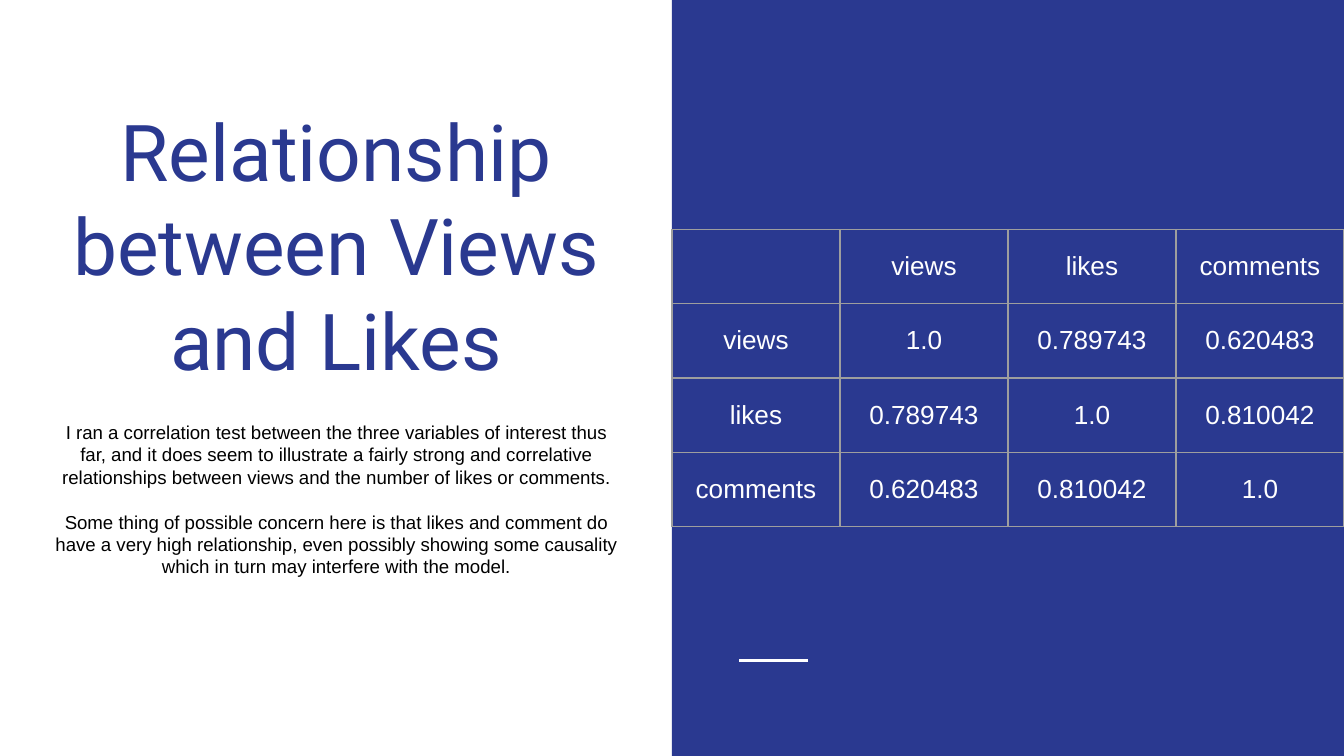
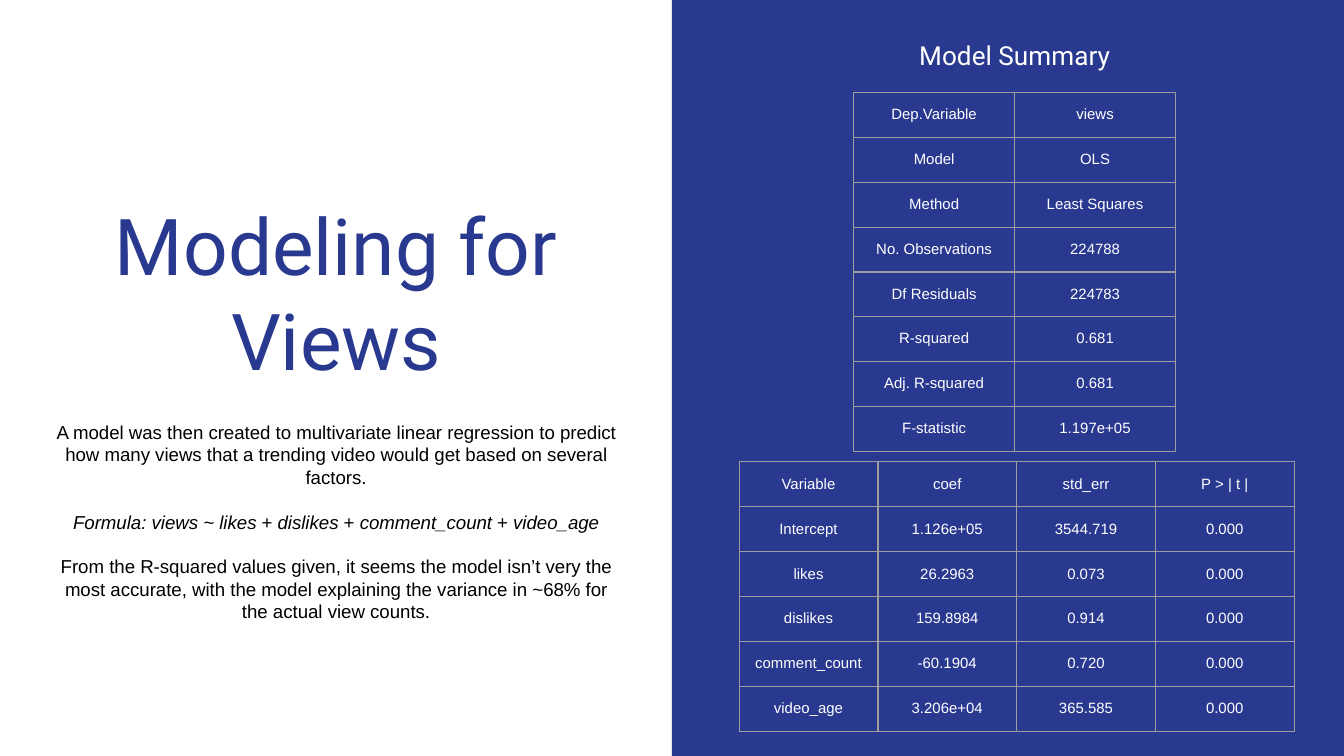
from lxml.etree import SubElement
from pptx import Presentation
from pptx.dml.color import RGBColor
from pptx.enum.shapes import MSO_CONNECTOR, MSO_SHAPE
from pptx.enum.text import MSO_ANCHOR, PP_ALIGN
from pptx.oxml.ns import qn
from pptx.util import Inches, Pt

COLORS = {"blue": "2A3990", "white": "FFFFFF", "black": "000000", "grid": "9E9E9E"}
HEADING_FONT, BODY_FONT = "Roboto", "Arial"
COLUMNS, ROWS = 40, 22.5
MARGIN = Inches(0.1)


def color(name):
    return RGBColor.from_string(COLORS[name])


def write(frame, paragraphs, size, color_name, font=BODY_FONT, anchor=MSO_ANCHOR.TOP, gap=0):
    """Fill a text frame; a tuple paragraph alternates italic and upright pieces."""
    frame.word_wrap = True
    frame.vertical_anchor = anchor
    frame.margin_left = frame.margin_right = MARGIN
    frame.margin_top = frame.margin_bottom = MARGIN
    for index, content in enumerate(paragraphs):
        paragraph = frame.add_paragraph() if index else frame.paragraphs[0]
        paragraph.alignment = PP_ALIGN.CENTER
        paragraph.space_before = Pt(gap if index else 0)
        pieces = content if isinstance(content, tuple) else (content,)
        for position, piece in enumerate(pieces):
            run = paragraph.add_run()
            run.text = piece
            run.font.size = Pt(size)
            run.font.name = font
            run.font.color.rgb = color(color_name)
            run.font.italic = isinstance(content, tuple) and position % 2 == 0


def draw_borders(cell):
    properties = cell._tc.get_or_add_tcPr()
    for side in ("a:lnL", "a:lnR", "a:lnT", "a:lnB"):
        line = SubElement(properties, qn(side), w=str(Pt(0.75)))
        fill = SubElement(line, qn("a:solidFill"))
        SubElement(fill, qn("a:srgbClr"), val=COLORS["grid"])


class SplitDeck:
    """Slides with a white text half and a blue half for tables, on a 40 by 22.5 grid."""

    def __init__(self):
        self.presentation = Presentation()
        self.presentation.slide_width = Inches(10)
        self.presentation.slide_height = Inches(10) * 9 // 16
        self.slide = None

    def x(self, columns):
        return round(self.presentation.slide_width * columns / COLUMNS)

    def y(self, rows):
        return round(self.presentation.slide_height * rows / ROWS)

    def box(self, left, top, width, height):
        return self.x(left), self.y(top), self.x(width), self.y(height)

    def add_slide(self, title, body):
        self.slide = self.presentation.slides.add_slide(self.presentation.slide_layouts[6])
        background = self.slide.background.fill
        background.solid()
        background.fore_color.rgb = color("white")
        self.panel(20, 0, 20, ROWS)
        self.rule(22, 19.66, 2.04)
        self.text([title], 1.16, 5.04, 17.68, 6.84, size=42, color_name="blue",
                  font=HEADING_FONT, anchor=MSO_ANCHOR.BOTTOM)
        self.text(body, 1.16, 12.12, 17.68, 5.56, size=10, color_name="black", gap=12)

    def panel(self, left, top, width, height):
        shape = self.slide.shapes.add_shape(
            MSO_SHAPE.RECTANGLE, *self.box(left, top, width, height))
        shape.shadow.inherit = False
        shape.fill.solid()
        shape.fill.fore_color.rgb = color("blue")
        shape.line.fill.background()

    def rule(self, left, top, width):
        connector = self.slide.shapes.add_connector(
            MSO_CONNECTOR.STRAIGHT, self.x(left), self.y(top), self.x(left + width), self.y(top))
        connector.line.color.rgb = color("white")
        connector.line.width = Pt(1.5)
        SubElement(connector._element.spPr, qn("a:effectLst"))

    def text(self, paragraphs, left, top, width, height, **style):
        shape = self.slide.shapes.add_textbox(*self.box(left, top, width, height))
        write(shape.text_frame, paragraphs, **style)

    def table(self, records, left, top, column, row, size, anchor=MSO_ANCHOR.MIDDLE, filled=False):
        """Draw records as a table whose cells are column wide and row high."""
        row_count, column_count = len(records), len(records[0])
        table = self.slide.shapes.add_table(
            row_count, column_count,
            *self.box(left, top, column * column_count, row * row_count)).table
        table.first_row = table.horz_banding = False
        for table_row, record in zip(table.rows, records):
            for cell, value in zip(table_row.cells, record):
                write(cell.text_frame, [value] if value else [], size, "white")
                cell.vertical_anchor = anchor
                cell.margin_left = cell.margin_right = MARGIN
                cell.margin_top = cell.margin_bottom = MARGIN
                draw_borders(cell)
                if filled:
                    cell.fill.solid()
                    cell.fill.fore_color.rgb = color("blue")
                else:
                    cell.fill.background()


def add_correlation_slide(deck):
    deck.add_slide("Relationship between Views and Likes", [
        "I ran a correlation test between the three variables of interest thus far, and it does "
        "seem to illustrate a fairly strong and correlative relationships between views and the "
        "number of likes or comments.",
        "Some thing of possible concern here is that likes and comment do have a very high "
        "relationship, even possibly showing some causality which in turn may interfere with "
        "the model.",
    ])
    deck.table([
        ("", "views", "likes", "comments"),
        ("views", "1.0", "0.789743", "0.620483"),
        ("likes", "0.789743", "1.0", "0.810042"),
        ("comments", "0.620483", "0.810042", "1.0"),
    ], left=20, top=6.83, column=5, row=2.21, size=14)


def add_model_slide(deck):
    deck.add_slide("Modeling for Views", [
        "A model was then created to multivariate linear regression to predict how many views "
        "that a trending video would get based on several factors.",
        ("Formula: views ~ likes ", "+", " dislikes", " + ", "comment_count", " + ", "video_age"),
        "From the R-squared values given, it seems the model isn’t very the most accurate, with "
        "the model explaining the variance in ~68% for the actual view counts.",
    ])
    deck.text(["Model Summary"], 22.5, 0.76, 15.4, 2.28, size=14, color_name="white",
              font=HEADING_FONT)
    deck.table([
        ("Variable", "coef", "std_err", "P > | t |"),
        ("Intercept", "1.126e+05", "3544.719", "0.000"),
        ("likes", "26.2963", "0.073", "0.000"),
        ("dislikes", "159.8984", "0.914", "0.000"),
        ("comment_count", "-60.1904", "0.720", "0.000"),
        ("video_age", "3.206e+04", "365.585", "0.000"),
    ], left=22, top=13.73, column=4.13, row=1.34, size=8, filled=True)
    deck.table([
        ("Dep.Variable", "views"),
        ("Model", "OLS"),
        ("Method", "Least Squares"),
        ("No. Observations", "224788"),
        ("Df Residuals", "224783"),
        ("R-squared", "0.681"),
        ("Adj. R-squared", "0.681"),
        ("F-statistic", "1.197e+05"),
    ], left=25.41, top=2.76, column=4.79, row=1.3, size=8, anchor=MSO_ANCHOR.TOP)


def main():
    deck = SplitDeck()
    add_correlation_slide(deck)
    add_model_slide(deck)
    deck.presentation.save("out.pptx")


if __name__ == "__main__":
    main()
